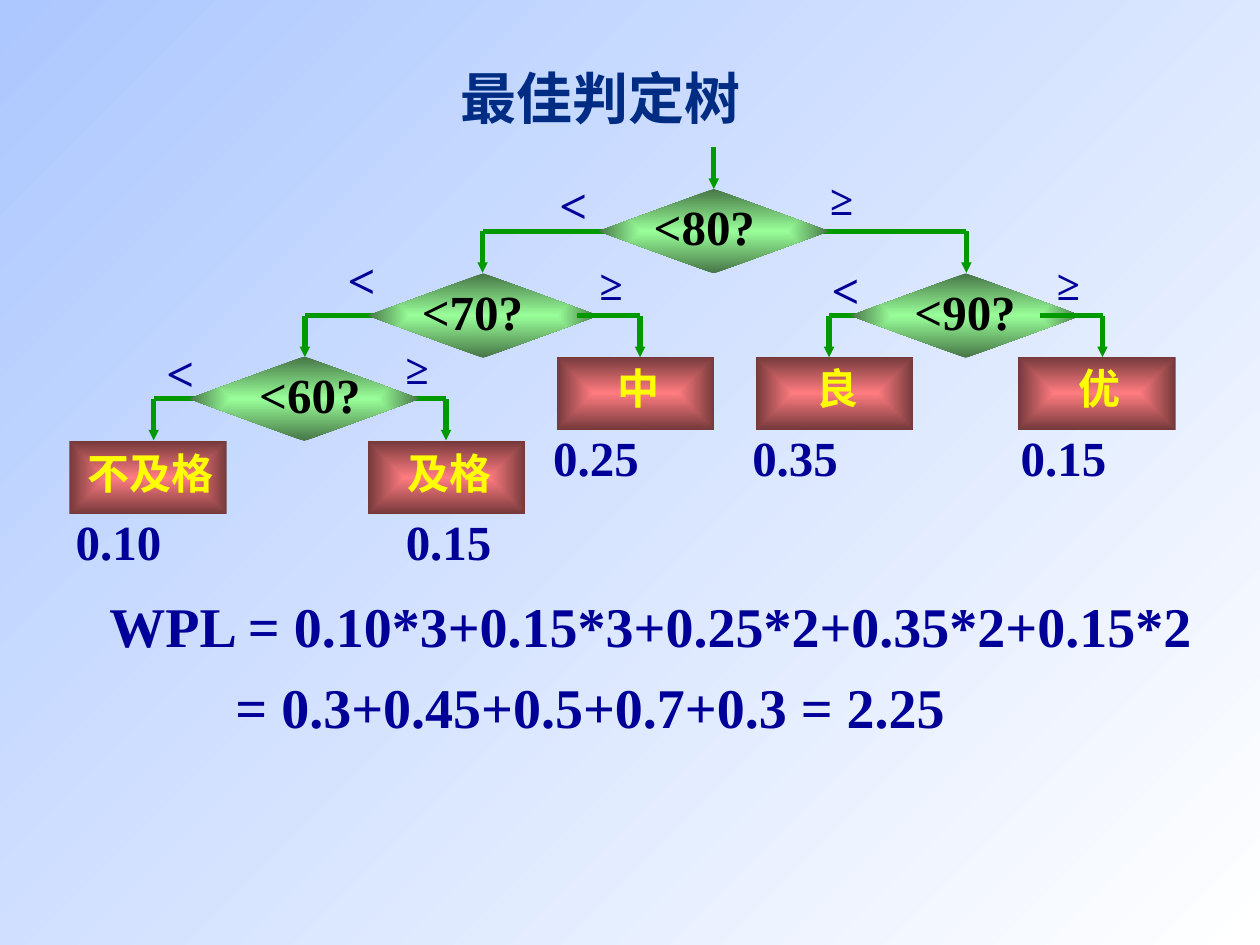
from collections import namedtuple

from lxml.etree import SubElement
from pptx import Presentation
from pptx.dml.color import RGBColor
from pptx.enum.shapes import MSO_CONNECTOR, MSO_SHAPE
from pptx.enum.text import MSO_ANCHOR, MSO_AUTO_SIZE, PP_ALIGN
from pptx.oxml.ns import qn
from pptx.util import Inches, Pt

NAVY, YELLOW, BLACK, GREEN = "000099", "FFFF00", "000000", "009900"
DECISION_SIZE = (1.83, 0.67)
LEAF_SIZE = (1.25, 0.58)
ARROW_DROP = 0.33

# Branches are (start x, end x) and signs are (x, y), all from the decision's corner.
Decision = namedtuple(
    "Decision", "text left top label_x less_branch more_branch less_sign more_sign more_in_front")
DECISIONS = [
    Decision("<60?", 1.5, 2.83, 0.41, (0.22, -0.28), (1.54, 2.04), (-0.28, -0.16), (1.62, -0.16), False),
    Decision("<70?", 2.92, 2.17, 0.28, (0.16, -0.5), (1.66, 2.16), (-0.26, -0.24), (1.74, -0.17), True),
    Decision("<80?", 4.75, 1.5, 0.29, (0.08, -0.92), (1.75, 2.92), (-0.41, -0.17), (1.74, -0.17), False),
    Decision("<90?", 6.75, 2.17, 0.36, (0.17, -0.17), (1.5, 2), (-0.25, -0.16), (1.54, -0.17), True),
]

# Weight offset is measured from the leaf's left edge.
Leaf = namedtuple("Leaf", "text left top weight weight_x")
LEAVES = [
    Leaf("不及格", 0.55, 3.5, "0.10", -0.05),
    Leaf("及格", 2.92, 3.5, "0.15", 0.2),
    Leaf("中", 4.42, 2.83, "0.25", -0.13),
    Leaf("良", 6, 2.83, "0.35", -0.13),
    Leaf("优", 8.08, 2.83, "0.15", -0.08),
]


def color(value):
    return RGBColor.from_string(value)


def set_gradient(fill, *colors):
    fill.gradient()
    for stop, position, value in zip(fill.gradient_stops, (0, 1), colors):
        stop.position = position
        stop.color.rgb = color(value)


def add_text(slide, box, lines, size, text_color=NAVY, align=PP_ALIGN.CENTER):
    shape = slide.shapes.add_textbox(*map(Inches, box))
    frame = shape.text_frame
    frame_format = {"word_wrap": False, "vertical_anchor": MSO_ANCHOR.MIDDLE,
                    "auto_size": MSO_AUTO_SIZE.SHAPE_TO_FIT_TEXT}
    for name, value in frame_format.items():
        setattr(frame, name, value)
    frame.text = "\n".join(lines)
    font_format = {"name": "Times New Roman", "size": Pt(size), "bold": True}
    for paragraph in frame.paragraphs:
        paragraph.alignment = align
        for run in paragraph.runs:
            for name, value in font_format.items():
                setattr(run.font, name, value)
            run.font.color.rgb = color(text_color)
    return frame


def add_glowing_shape(slide, kind, box, center, edge):
    """Add a shape whose gradient spreads from its middle to its edges."""
    shape = slide.shapes.add_shape(kind, *map(Inches, box))
    shape.shadow.inherit = False
    shape.line.fill.background()
    set_gradient(shape.fill, center, edge)
    gradient = shape._element.spPr.find(qn("a:gradFill"))
    gradient.remove(gradient.find(qn("a:lin")))
    gradient_path = SubElement(gradient, qn("a:path"), {"path": "rect"})
    SubElement(gradient_path, qn("a:fillToRect"), dict.fromkeys("ltrb", "50000"))


def add_line(slide, *ends, arrow=False):
    connector = slide.shapes.add_connector(MSO_CONNECTOR.STRAIGHT, *map(Inches, ends))
    connector.line.width = Pt(3)
    connector.line.color.rgb = color(GREEN)
    if arrow:
        SubElement(connector.line._get_or_add_ln(), qn("a:tailEnd"),
                   {"type": "triangle", "w": "sm", "len": "sm"})
    SubElement(connector._element.spPr, qn("a:effectLst"))


def add_branch(slide, decision, branch):
    """Run sideways from the decision's middle, then down to the next node."""
    start, end = (decision.left + x for x in branch)
    middle = decision.top + DECISION_SIZE[1] / 2
    add_line(slide, start, middle, end, middle)
    add_line(slide, end, middle, end, middle + ARROW_DROP, arrow=True)


def add_decision(slide, decision):
    left, top = decision.left, decision.top
    add_branch(slide, decision, decision.less_branch)
    if not decision.more_in_front:
        add_branch(slide, decision, decision.more_branch)
    add_glowing_shape(slide, MSO_SHAPE.FLOWCHART_DECISION, (left, top, *DECISION_SIZE),
                      "99FF99", "467546")
    if decision.more_in_front:
        add_branch(slide, decision, decision.more_branch)
    add_text(slide, (left + decision.label_x, top + 0.01, 1.1, 0.57), [decision.text], 28, BLACK)
    signs = [("<", decision.less_sign, (0.42, 0.57), 28),
             ("≥", decision.more_sign, (0.38, 0.5), 24)]
    for sign, (x, y), sign_size, font_size in signs:
        add_text(slide, (left + x, top + y, *sign_size), [sign], font_size)


def add_leaf(slide, leaf):
    add_glowing_shape(slide, MSO_SHAPE.RECTANGLE, (leaf.left, leaf.top, *LEAF_SIZE),
                      "FF7C80", "75393B")
    text_width = 0.22 + len(leaf.text) / 3
    text_left = leaf.left + (LEAF_SIZE[0] - text_width) / 2 + 0.02
    add_text(slide, (text_left, leaf.top, text_width, 0.5), [leaf.text], 24, YELLOW)
    add_text(slide, (leaf.left + leaf.weight_x, leaf.top + 0.51, 0.88, 0.57), [leaf.weight], 28)


def add_tree(slide):
    for decision in DECISIONS:
        add_decision(slide, decision)
    root = DECISIONS[2]
    root_x = root.left + DECISION_SIZE[0] / 2
    add_line(slide, root_x, root.top - ARROW_DROP, root_x, root.top, arrow=True)
    for leaf in LEAVES:
        add_leaf(slide, leaf)


def add_path_length(slide, box):
    frame = add_text(slide, box, ["WPL = 0.10*3+0.15*3+0.25*2+0.35*2+0.15*2",
                                  "= 0.3+0.45+0.5+0.7+0.3 = 2.25"], 32, align=PP_ALIGN.LEFT)
    result = frame.paragraphs[1]
    result.space_before = Pt(8)
    result._p.get_or_add_pPr().set("marL", str(Inches(1)))


def main():
    presentation = Presentation()
    presentation.slide_width, presentation.slide_height = Inches(10), Inches(7.5)
    slide = presentation.slides.add_slide(presentation.slide_layouts[6])
    background = slide.background.fill
    set_gradient(background, "FFFFFF", "ADC8FF")
    background.gradient_angle = 135
    add_text(slide, (3.52, 0.45, 2.5, 0.64), ["最佳判定树"], 32, "002C84")
    add_tree(slide)
    add_path_length(slide, (0.77, 4.64, 8.82, 1.28))
    presentation.save("out.pptx")


if __name__ == "__main__":
    main()
